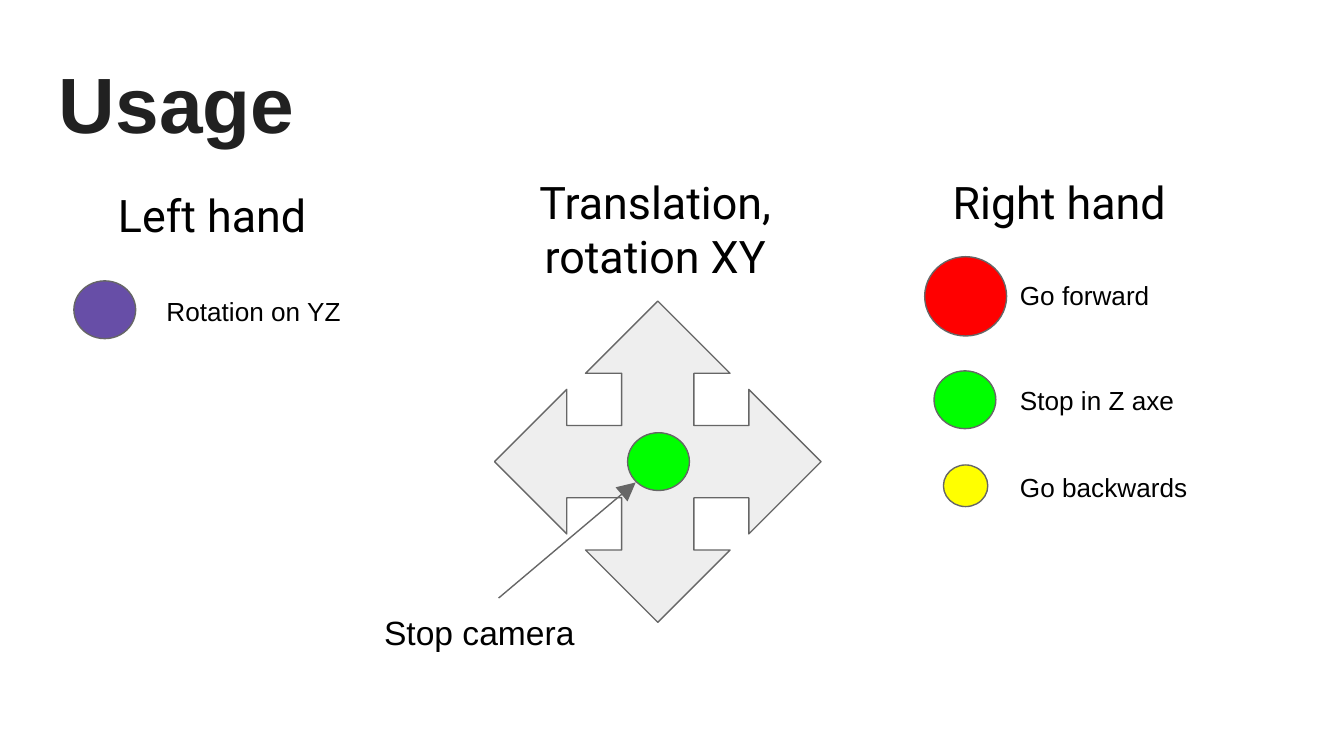
from pptx import Presentation
from pptx.dml.color import RGBColor
from pptx.enum.shapes import MSO_CONNECTOR, MSO_SHAPE
from pptx.enum.text import MSO_ANCHOR, PP_ALIGN
from pptx.oxml.ns import qn
from pptx.util import Emu, Pt
from lxml import etree

ELLIPSE = MSO_SHAPE.OVAL
QUAD_ARROW = MSO_SHAPE.QUAD_ARROW
STRAIGHT = MSO_CONNECTOR.STRAIGHT
LEFT, CENTER = PP_ALIGN.LEFT, PP_ALIGN.CENTER
TOP, MIDDLE = MSO_ANCHOR.TOP, MSO_ANCHOR.MIDDLE
PX = 9144

THEME = {
    "title": ("Arial", 42, "212121", True),
    "heading": ("Roboto", 24, "000000", False),
    "label": ("Arial", 14, "000000", False),
    "caption": ("Arial", 18, "000000", False),
    "outline": "666666",
    "outline_pt": 0.75,
    "arrow": "EEEEEE",
    "forward": "FF0000",
    "stop": "00FF00",
    "backwards": "FFFF00",
    "rotation": "674EA7",
}


def add_text(text, box, style, align=LEFT, anchor=TOP):
    tf = s.shapes.add_textbox(*[Emu(v * PX) for v in box]).text_frame
    tf.word_wrap = True
    tf.vertical_anchor = anchor
    tf.margin_left = tf.margin_right = tf.margin_top = tf.margin_bottom = Emu(10 * PX)
    tf.text = text
    p = tf.paragraphs[0]
    p.alignment = align
    font = p.runs[0].font
    font.name, size, color, font.bold = THEME[style]
    font.size = Pt(size)
    font.color.rgb = RGBColor.from_string(color)


def add_figure(kind, box, color):
    sp = s.shapes.add_shape(kind, *[Emu(v * PX) for v in box])
    sp.shadow.inherit = False
    sp.fill.solid()
    sp.fill.fore_color.rgb = RGBColor.from_string(THEME[color])
    sp.line.color.rgb = RGBColor.from_string(THEME["outline"])
    sp.line.width = Pt(THEME["outline_pt"])
    return sp


prs = Presentation()
prs.slide_width = Emu(1000 * PX)
prs.slide_height = Emu(prs.slide_width * 9 // 16)
s = prs.slides.add_slide(prs.slide_layouts[6])

add_text("Usage", (34, 32, 343, 88), "title", anchor=MIDDLE)

controls = [
    ("Go forward", (688, 191, 61, 59), "forward", (749, 198, 134, 40)),
    ("Stop in Z axe", (695, 276, 46, 43), "stop", (749, 276, 162, 40)),
    ("Go backwards", (702, 346, 33, 31), "backwards", (749, 341, 151, 40)),
    ("Rotation on YZ", (55, 209, 46, 43), "rotation", (114, 210, 162, 40)),
]
for text, ball, color, box in controls:
    add_figure(ELLIPSE, ball, color)
    add_text(text, box, "label")

arrows = add_figure(QUAD_ARROW, (368, 224, 243, 239), "arrow")
for i in range(3):
    arrows.adjustments[i] = 0.225

headings = [
    ("Left hand", (78, 130, 230, 57), LEFT),
    ("Right hand", (699, 120, 230, 57), LEFT),
    ("Translation, rotation XY", (377, 120, 221, 95), CENTER),
]
for text, box, align in headings:
    add_text(text, box, "heading", align)

add_figure(ELLIPSE, (467, 322, 46, 43), "stop")

pointer = s.shapes.add_connector(STRAIGHT, *[Emu(v * PX) for v in (371, 445, 473, 359)])
pointer.line.color.rgb = RGBColor.from_string(THEME["outline"])
pointer.line.width = Pt(THEME["outline_pt"])
tail = etree.SubElement(pointer.line._get_or_add_ln(), qn("a:tailEnd"))
for key, value in (("type", "triangle"), ("w", "lg"), ("len", "lg")):
    tail.set(key, value)
etree.SubElement(pointer._element.spPr, qn("a:effectLst"))

add_text("Stop camera", (276, 445, 166, 43), "caption")

prs.save("out.pptx")
